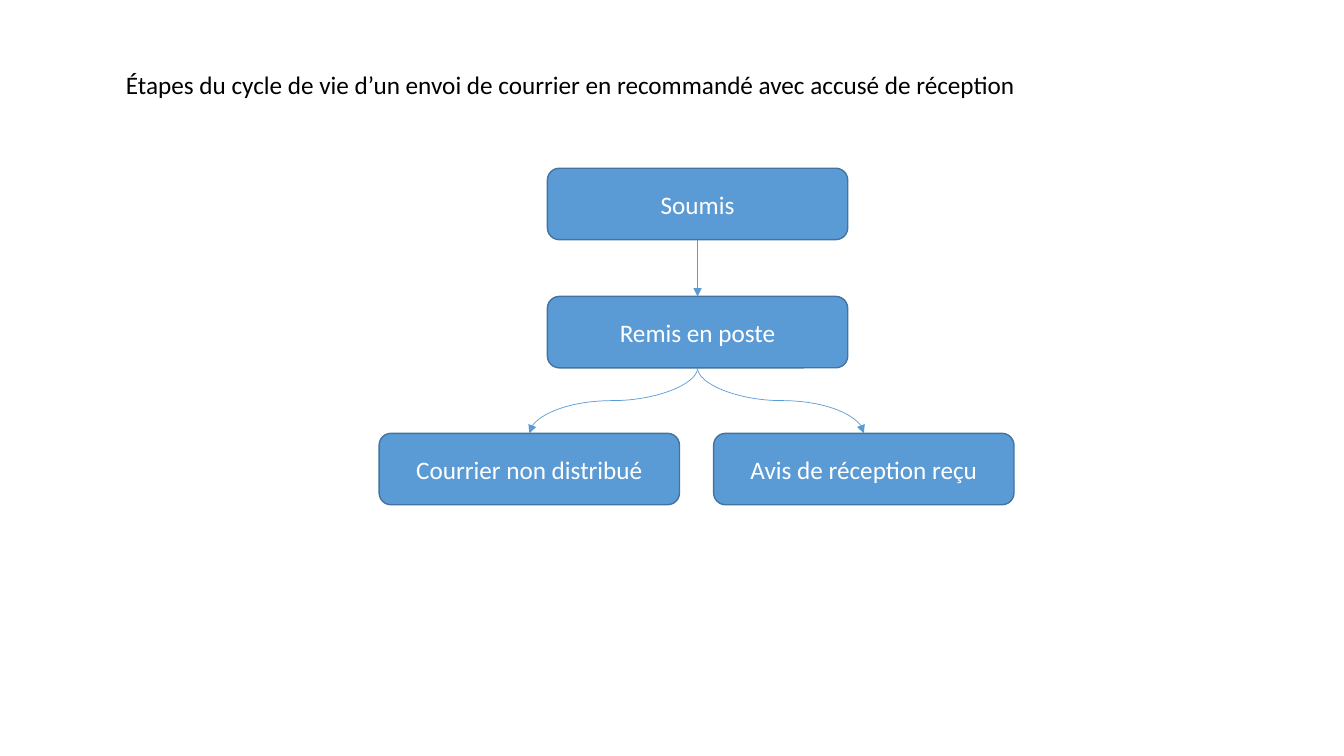
import pptx
import pptx.dml.color
import pptx.enum.shapes
import pptx.enum.text
import pptx.oxml
import pptx.oxml.ns
import pptx.util

Cm, Pt = pptx.util.Cm, pptx.util.Pt
Kind = pptx.enum.shapes.MSO_CONNECTOR
Align, Anchor = pptx.enum.text.PP_ALIGN, pptx.enum.text.MSO_ANCHOR
NS = pptx.oxml.ns.nsdecls("a")

BLUE, EDGE, WHITE, BLACK = "5B9BD5", "43739E", "FFFFFF", "000000"
WIDE, HIGH = 7.57, 1.8
MID, LEFT, RIGHT = 17.58, 13.34, 21.77
ROWS = 4.24, 7.47, 10.92
TOP, BOTTOM = 0, 2  # connection sites of a rounded box
FONT = {"name": "Calibri", "size": Pt(18), "bold": False}
TITLE = {"left": Cm(2.92), "top": Cm(1.63), "width": Cm(22.99), "height": Cm(1.02)}
FRAME = {"word_wrap": False, "vertical_anchor": Anchor.TOP,
         "auto_size": pptx.enum.text.MSO_AUTO_SIZE.SHAPE_TO_FIT_TEXT}


def apply(item, form):
    for name, value in form.items():
        setattr(item, name, value)


def tint(part, code):
    """Colour a font or a fill."""
    if hasattr(part, "solid"):
        part.solid()
        part.fore_color.rgb = pptx.dml.color.RGBColor.from_string(code)
    else:
        part.color.rgb = pptx.dml.color.RGBColor.from_string(code)


def write(shape, text, code, align):
    para = shape.text_frame.paragraphs[0]
    para.alignment = align
    run = para.add_run()
    run.text = text
    apply(run.font, FONT)
    tint(run.font, code)


def add_title(slide, text):
    title = slide.shapes.title
    apply(title, TITLE)
    apply(title.text_frame, FRAME)
    write(title, text, BLACK, Align.LEFT)


def add_step(slide, text, mid, top):
    """Add a rounded box centred on mid."""
    step = slide.shapes.add_shape(
        pptx.enum.shapes.MSO_SHAPE.ROUNDED_RECTANGLE,
        Cm(mid - WIDE / 2), Cm(top), Cm(WIDE), Cm(HIGH))
    step.shadow.inherit = False
    tint(step.fill, BLUE)
    tint(step.line.fill, EDGE)
    step.line.width = Pt(1)
    step.text_frame.vertical_anchor = Anchor.MIDDLE
    write(step, text, WHITE, Align.CENTER)
    return step


def add_arrow(slide, start, end, kind):
    arrow = slide.shapes.add_connector(kind, 0, 0, 0, 0)
    arrow.begin_connect(start, BOTTOM)
    arrow.end_connect(end, TOP)
    tint(arrow.line.fill, BLUE)
    arrow.line.width = Pt(0.5)
    props = arrow._element.spPr
    props.find(pptx.oxml.ns.qn("a:ln")).append(
        pptx.oxml.parse_xml(f'<a:tailEnd {NS} type="triangle"/>'))
    props.append(pptx.oxml.parse_xml(f"<a:effectLst {NS}/>"))
    return arrow


def add_curve(slide, start, end):
    """Add a curved arrow turned so that it leaves and arrives vertically."""
    curve = add_arrow(slide, start, end, Kind.CURVE)
    right = curve.end_x > curve.begin_x
    wide, high = curve.width, curve.height
    shift = (wide - high) // 2
    apply(curve, {"left": curve.left + shift, "top": curve.top - shift,
                  "width": high, "height": wide})
    frame = curve._element.spPr.find(pptx.oxml.ns.qn("a:xfrm"))
    frame.set("rot", "16200000" if right else "5400000")
    frame.set("flipH", "1" if right else "0")


def main():
    deck = pptx.Presentation()
    apply(deck, {"slide_width": Cm(33.87), "slide_height": Cm(19.05)})
    slide = deck.slides.add_slide(deck.slide_layouts.get_by_name("Title Only"))
    add_title(slide, "Étapes du cycle de vie d’un envoi de courrier "
                     "en recommandé avec accusé de réception")
    first = add_step(slide, "Soumis", MID, ROWS[0])
    posted = add_step(slide, "Remis en poste", MID, ROWS[1])
    add_arrow(slide, first, posted, Kind.STRAIGHT)
    for text, mid in (("Courrier non distribué", LEFT),
                      ("Avis de réception reçu", RIGHT)):
        add_curve(slide, posted, add_step(slide, text, mid, ROWS[2]))
    deck.save("out.pptx")


if __name__ == "__main__":
    main()
